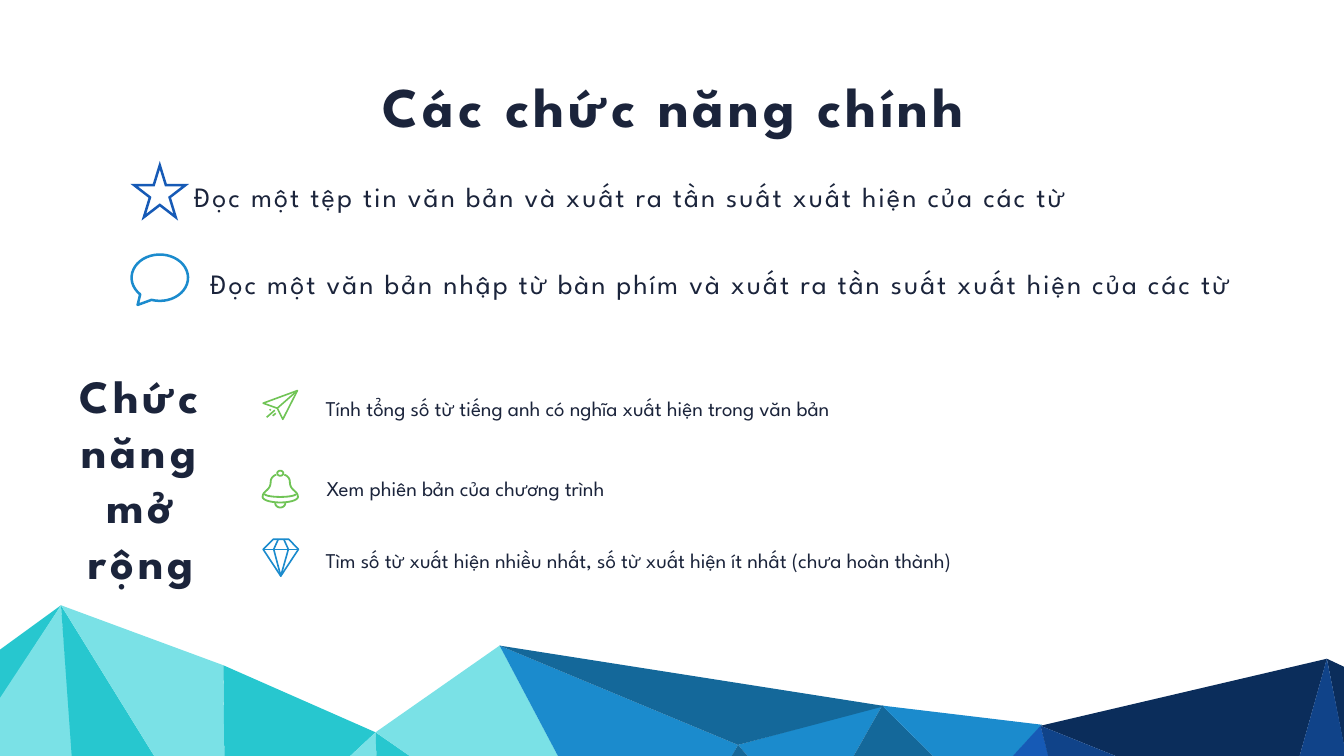
from dataclasses import dataclass
from math import cos, radians, sin

from pptx import Presentation
from pptx.dml.color import RGBColor
from pptx.enum.shapes import MSO_SHAPE
from pptx.enum.text import MSO_AUTO_SIZE, PP_ALIGN
from pptx.oxml import parse_xml
from pptx.util import Inches, Pt

STAR = MSO_SHAPE.STAR_5_POINT
GROW = MSO_AUTO_SIZE.SHAPE_TO_FIT_TEXT
LEFT, CENTER = PP_ALIGN.LEFT, PP_ALIGN.CENTER
DRAWING_NS = "http://schemas.openxmlformats.org/drawingml/2006/main"
FONT = "League Spartan"
COLORS = {
    "text": "1B243B", "teal": "27C7CF", "aqua": "7AE1E6", "sky": "1B8BCD",
    "steel": "14689A", "blue": "165AB6", "navy": "0B2D5B", "royal": "104389",
    "green": "70C456",
}
Point = tuple[float, float]


@dataclass
class Facet:
    color: str
    points: list[Point]


@dataclass
class Stroke:
    points: list[Point]
    closed: bool = False


@dataclass
class Icon:
    color: str
    weight: float
    strokes: list[Stroke]


@dataclass
class Label:
    text: str
    box: tuple[float, float, float, float]
    size: float
    spacing: float = 0
    bold: bool = False
    align: PP_ALIGN = LEFT
    wrap: bool = True
    line_height: float | None = None


def rgb(name: str) -> RGBColor:
    return RGBColor.from_string(COLORS[name])


def arc(center: Point, radii: Point, start: float, end: float, steps: int = 40) -> list[Point]:
    angles = [radians(start + (end - start) * i / steps) for i in range(steps + 1)]
    return [(center[0] + radii[0] * cos(a), center[1] + radii[1] * sin(a)) for a in angles]


def bezier(a: Point, b: Point, c: Point, d: Point, steps: int = 12) -> list[Point]:
    def at(t: float, axis: int) -> float:
        u = 1 - t
        return u**3 * a[axis] + 3 * u * u * t * b[axis] + 3 * u * t * t * c[axis] + t**3 * d[axis]
    return [(at(i / steps, 0), at(i / steps, 1)) for i in range(steps + 1)]


def add_outline(slide, strokes: list[Stroke]):
    builder = None
    for stroke in strokes:
        first, *rest = [(Inches(x), Inches(y)) for x, y in stroke.points]
        if builder is None:
            builder = slide.shapes.build_freeform(*first)
        else:
            builder.move_to(*first)
        builder.add_line_segments(rest, close=stroke.closed)
    shape = builder.convert_to_shape()
    shape.shadow.inherit = False
    return shape


def draw_facet(slide, facet: Facet) -> None:
    shape = add_outline(slide, [Stroke(facet.points, closed=True)])
    shape.fill.solid()
    shape.fill.fore_color.rgb = rgb(facet.color)
    shape.line.fill.background()


def set_outline(shape, color: str, weight: float) -> None:
    shape.fill.background()
    shape.line.color.rgb = rgb(color)
    shape.line.width = Pt(weight)


def draw_icon(slide, icon: Icon) -> None:
    set_outline(add_outline(slide, icon.strokes), icon.color, icon.weight)


def draw_star(slide) -> None:
    star = slide.shapes.add_shape(STAR, Inches(2.66), Inches(3.28), Inches(1.02), Inches(1.03))
    star.shadow.inherit = False
    set_outline(star, "blue", 3.6)
    # Sharp corners
    star.line._get_or_add_ln().append(parse_xml(f'<a:miter xmlns:a="{DRAWING_NS}" lim="800000"/>'))


def draw_label(slide, label: Label) -> None:
    frame = slide.shapes.add_textbox(*map(Inches, label.box)).text_frame
    frame.word_wrap = label.wrap
    frame.auto_size = GROW
    paragraph = frame.paragraphs[0]
    paragraph.text = label.text
    paragraph.alignment = label.align
    if label.line_height:
        paragraph.line_spacing = Pt(label.line_height)
    font = paragraph.font
    font.name, font.size, font.bold = FONT, Pt(label.size), label.bold
    font.color.rgb = rgb("text")
    if label.spacing:
        for run in paragraph.runs:
            run._r.get_or_add_rPr().set("spc", str(round(label.spacing * 100)))


# Mountain corners shared by neighbouring facets
BASE, RIGHT = 16.65, 26.81
PEAK_1, RIDGE_1, VALLEY_1 = (1.21, 12.01), (4.43, 13.2), (7.45, 14.53)
PEAK_2, DIP, RIDGE_2 = (9.91, 12.81), (14.64, 14.78), (17.5, 14)
VALLEY_2, PEAK_3 = (20.64, 14.4), (26.32, 13.07)
FOOT_1, FOOT_2, FOOT_3 = (16.1, 16.47), (19.34, 15.82), (25.41, 16.32)

FACETS = [
    Facet("teal", [PEAK_1, (0, 12.89), (0, 13.88)]),
    Facet("aqua", [(1.57, BASE), PEAK_1, (-0.02, 13.88), (-0.02, BASE)]),
    Facet("teal", [(4.08, BASE), PEAK_1, (1.54, BASE)]),
    Facet("aqua", [(4.47, BASE), RIDGE_1, PEAK_1, (4.08, BASE)]),
    Facet("teal", [(5.18, BASE), VALLEY_1, RIDGE_1, (4.47, BASE)]),
    Facet("aqua", [(7.54, BASE), VALLEY_1, (5.18, BASE)]),
    Facet("teal", [(10.52, BASE), VALLEY_1, (7.53, BASE)]),
    Facet("aqua", [(11.94, BASE), PEAK_2, VALLEY_1, (10.49, BASE)]),
    Facet("sky", [(13.62, BASE), DIP, PEAK_2, (11.94, BASE)]),
    Facet("sky", [DIP, FOOT_1, RIDGE_2]),
    Facet("steel", [FOOT_1, FOOT_2, RIDGE_2]),
    Facet("sky", [RIDGE_2, FOOT_2, (20.67, 14.38)]),
    Facet("blue", [(21.24, BASE), VALLEY_2, FOOT_2, (20.28, BASE)]),
    Facet("navy", [VALLEY_2, FOOT_3, PEAK_3]),
    Facet("royal", [(24.41, BASE), FOOT_3, VALLEY_2, (21.21, BASE)]),
    Facet("navy", [(RIGHT, 13.3), PEAK_3, (RIGHT, 15.57)]),
    Facet("royal", [(RIGHT, BASE), (RIGHT, 15.52), PEAK_3, FOOT_3, (26, BASE)]),
    Facet("steel", [PEAK_2, (17.55, 14.01), DIP]),
    Facet("steel", [(15.71, BASE), FOOT_1, DIP, (13.59, BASE)]),
]

# Bell: the right side mirrors the left
BELL_X = 5.56
BELL_LEFT = (bezier((5.48, 9.42), (5.41, 9.44), (5.37, 9.5), (5.37, 9.56))
             + bezier((5.37, 9.56), (5.37, 9.74), (5.21, 9.73), (5.21, 9.86)))
BELL_RIGHT = [(2 * BELL_X - x, y) for x, y in reversed(BELL_LEFT)]

ICONS = [
    # Speech bubble
    Icon("sky", 3.6, [Stroke(arc((3.17, 5.51), (0.56, 0.46), 134, 467) + [(2.73, 6.05)], True)]),
    # Paper plane
    Icon("green", 2.3, [
        Stroke([(5.22, 8), (5.9, 7.75), (5.61, 8.32), (5.5, 8.1)], True),
        Stroke([(5.5, 8.1), (5.9, 7.75)]),
        Stroke([(5.35, 8.14), (5.37, 8.12)]),
        Stroke([(5.29, 8.28), (5.45, 8.14)]),
        Stroke([(5.41, 8.25), (5.47, 8.2)]),
    ]),
    # Bell
    Icon("green", 2.6, [
        Stroke(arc((BELL_X, 9.39), (0.06, 0.05), 0, 360), True),
        Stroke(BELL_LEFT + arc((BELL_X, 9.86), (0.35, 0.11), 180, 0) + BELL_RIGHT),
        Stroke(arc((BELL_X, 9.8), (0.31, 0.06), 180, 0)),
        Stroke(arc((BELL_X, 9.98), (0.1, 0.09), 180, 0)),
    ]),
    # Diamond
    Icon("sky", 2.3, [
        Stroke([(5.42, 10.7), (5.73, 10.7), (5.92, 10.9), (5.57, 11.43), (5.22, 10.9)], True),
        Stroke([(5.22, 10.9), (5.92, 10.9)]),
        Stroke([(5.52, 10.7), (5.43, 10.9), (5.57, 11.43), (5.72, 10.9), (5.63, 10.7)]),
    ]),
]

LABELS = [
    Label("Các chức năng chính", (7.48, 1.36, 11.75, 1.45), 80, 6, True, CENTER, False),
    Label("Đọc một tệp tin văn bản và xuất ra tần suất xuất hiện của các từ",
          (3.76, 3.51, 19.5, 0.77), 40, 3, wrap=False),
    Label("Đọc một văn bản nhập từ bàn phím và xuất ra tần suất xuất hiện của các từ",
          (4.08, 5.23, 22.01, 0.77), 40, 3, wrap=False),
    Label("Chức năng mở rộng", (1.14, 7.23, 3.31, 4.54), 66, 6, True, CENTER),
    Label("Tính tổng số từ tiếng anh có nghĩa xuất hiện trong văn bản",
          (6.36, 7.71, 16.22, 0.67), 30, line_height=42),
    Label("Xem phiên bản của chương trình", (6.38, 9.3, 9.49, 0.67), 30, line_height=42),
    Label("Tìm số từ xuất hiện nhiều nhất, số từ xuất hiện ít nhất (chưa hoàn thành)",
          (6.36, 10.73, 14.72, 0.67), 30, line_height=42),
]


def main() -> None:
    presentation = Presentation()
    presentation.slide_width, presentation.slide_height = Inches(26.66), Inches(15)
    slide = presentation.slides.add_slide(presentation.slide_layouts[6])
    for facet in FACETS:
        draw_facet(slide, facet)
    draw_star(slide)
    for icon in ICONS:
        draw_icon(slide, icon)
    for label in LABELS:
        draw_label(slide, label)
    presentation.save("out.pptx")


if __name__ == "__main__":
    main()
